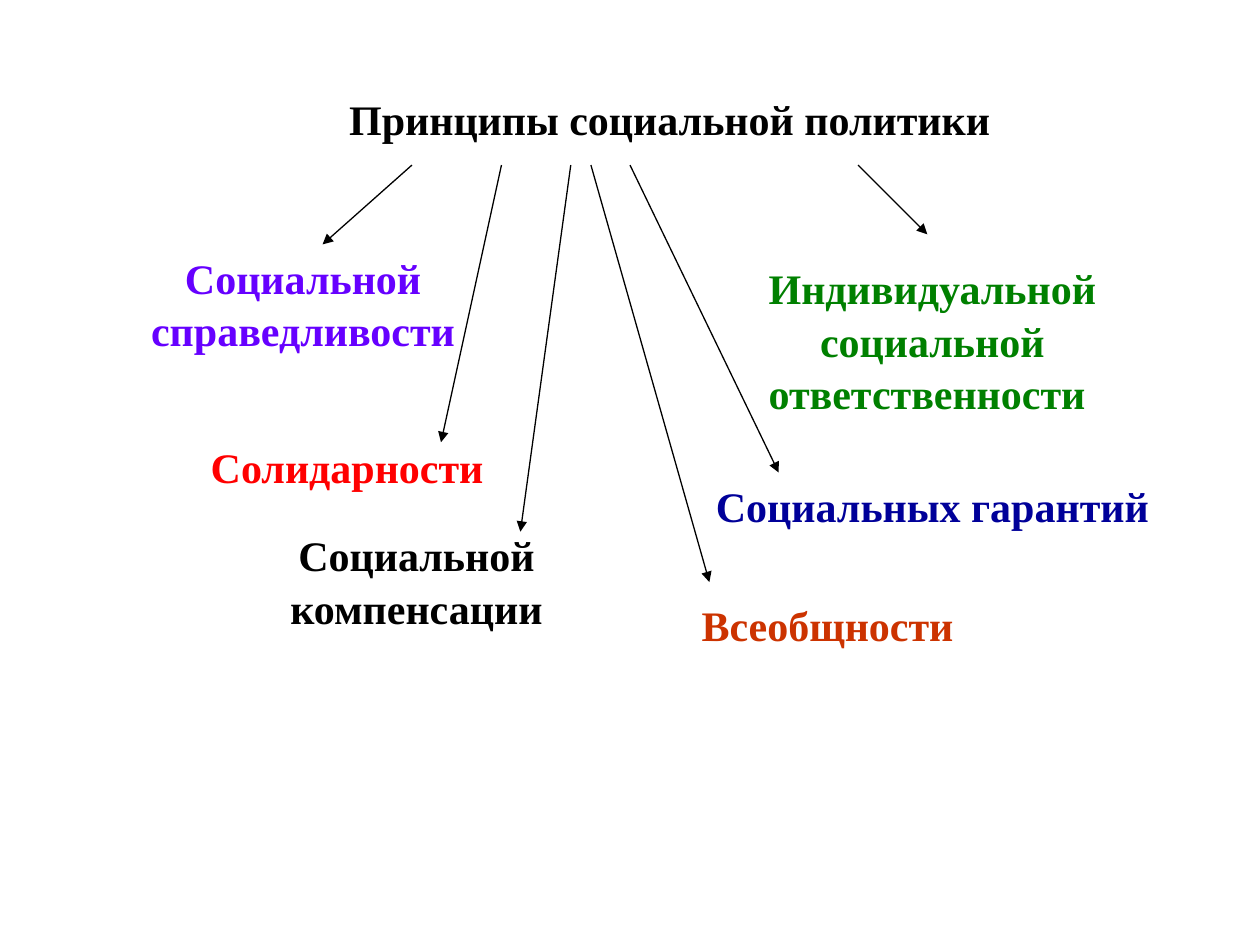
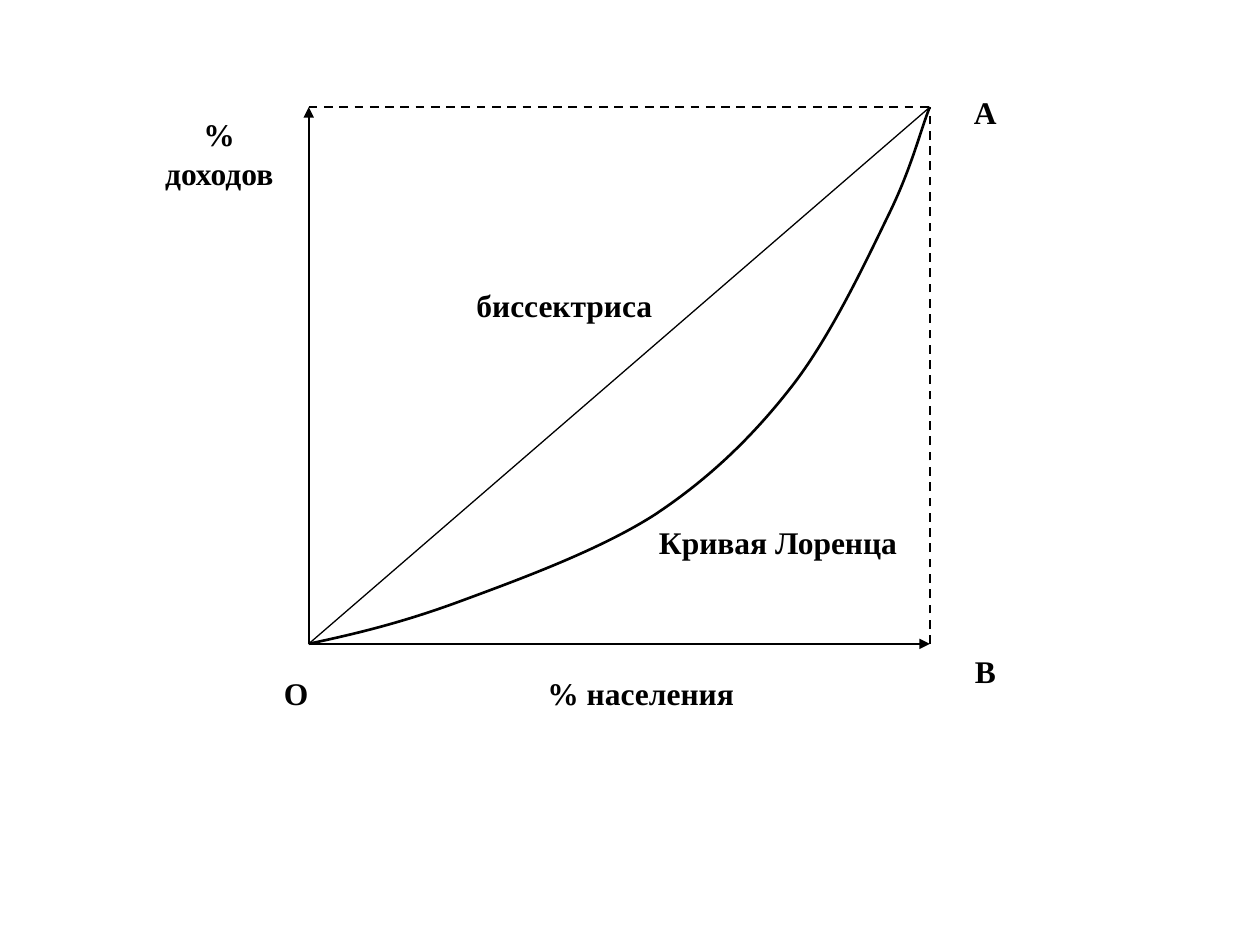
from pptx import Presentation
from pptx.dml.color import RGBColor
from pptx.enum.dml import MSO_LINE_DASH_STYLE as Dash
from pptx.enum.shapes import MSO_CONNECTOR as Connector
from pptx.enum.text import MSO_ANCHOR as Anchor, MSO_AUTO_SIZE as AutoSize, PP_ALIGN as Align
from pptx.oxml.ns import qn
from pptx.util import Pt
from lxml.etree import SubElement

PX = 9144  # 100 px to the inch
FONT = "Times New Roman"
LINE_SPACING = 1.04
TITLE_ONLY, BLANK = 5, 6
COLORS = {
    "black": "000000", "violet": "6600FF", "red": "FF0000",
    "green": "008000", "navy": "000099", "rust": "CC3300",
}

ARROWS_TOP = 131
# text, colour, label box, arrow start x, arrow tip
PRINCIPLES = [
    ("Социальной справедливости", "violet", (83, 194, 315, 90), 327, (256, 194)),
    ("Солидарности", "red", (114, 344, 323, 50), 398, (350, 351)),
    ("Индивидуальной социальной ответственности ", "green",
     (555, 202, 370, 130), 681, (736, 186)),
    ("Социальной компенсации", "black", (185, 414, 291, 90), 453, (413, 422)),
    ("Социальных гарантий ", "navy", (555, 375, 370, 50), 500, (618, 375)),
    ("Всеобщности ", "rust", (476, 469, 370, 50), 469, (563, 462)),
]

LEFT, TOP, RIGHT, BOTTOM = 245, 85, 738, 511
ORIGIN, INCOME_END = (LEFT, BOTTOM), (LEFT, TOP)
POPULATION_END, CORNER = (RIGHT, BOTTOM), (RIGHT, TOP)
# Bezier triples: two control points and an end point
LORENZ_CURVE = [
    (283, 503), (320, 494), (366, 477),
    (412, 460), (475, 437), (519, 409),
    (563, 380), (598, 346), (629, 306),
    (660, 266), (688, 206), (706, 169),
    (724, 132), (731, 102), CORNER,
]
CHART_LABELS = [
    ("% населения", (366, 529, 285, 51)),
    ("% доходов", (114, 85, 120, 85)),
    ("О", (202, 529, 66, 51)),
    ("А", (749, 68, 66, 51)),
    ("В", (749, 511, 66, 51)),
    ("Кривая Лоренца", (508, 409, 219, 51)),
    ("биссектриса", (355, 221, 186, 51)),
]


def px(*lengths):
    return [length * PX for length in lengths]


def rgb(color):
    return RGBColor.from_string(COLORS[color])


def write_text(shape, text, size, color="black"):
    frame = shape.text_frame
    frame.word_wrap = True
    frame.auto_size = AutoSize.NONE
    frame.vertical_anchor = Anchor.TOP
    frame.text = text
    paragraph = frame.paragraphs[0]
    paragraph.alignment = Align.CENTER
    paragraph.line_spacing = LINE_SPACING
    font = paragraph.runs[0].font
    font.name, font.size, font.bold = FONT, Pt(size), True
    font.color.rgb = rgb(color)


def add_label(shapes, text, box, size, color="black"):
    write_text(shapes.add_textbox(*px(*box)), text, size, color)


def add_title(slide, text, box, size):
    title = slide.shapes.title
    title.left, title.top, title.width, title.height = px(*box)
    write_text(title, text, size)


def add_line(shapes, start, end, width=0.75, arrow=False, dashed=False):
    connector = shapes.add_connector(Connector.STRAIGHT, *px(*start, *end))
    line = connector.line
    line.color.rgb = rgb("black")
    line.width = Pt(width)
    if dashed:
        line.dash_style = Dash.DASH
    properties = connector._element.spPr
    if arrow:
        SubElement(properties.find(qn("a:ln")), qn("a:tailEnd"), type="triangle")
    SubElement(properties, qn("a:effectLst"))


def add_curve(shapes, start, points, width):
    """Draw an open outline whose points are Bezier triples."""
    builder = shapes.build_freeform(*start, scale=PX)
    builder.add_line_segments(points, close=False)
    curve = builder.convert_to_shape()
    curve.shadow.inherit = False
    curve.fill.background()
    curve.line.color.rgb = rgb("black")
    curve.line.width = Pt(width)
    outline = next(curve._element.iter(qn("a:path")))
    segments = outline.findall(qn("a:lnTo"))
    for first in range(0, len(segments), 3):
        bezier = SubElement(outline, qn("a:cubicBezTo"))
        for segment in segments[first:first + 3]:
            bezier.append(segment[0])
            outline.remove(segment)


def build_principles(presentation):
    slide = presentation.slides.add_slide(presentation.slide_layouts[TITLE_ONLY])
    add_title(slide, "Принципы социальной политики", (106, 68, 851, 50), 24)
    for text, color, box, start_x, tip in PRINCIPLES:
        add_line(slide.shapes, (start_x, ARROWS_TOP), tip, arrow=True)
        add_label(slide.shapes, text, box, 24, color)


def build_lorenz(presentation):
    slide = presentation.slides.add_slide(presentation.slide_layouts[BLANK])
    shapes = slide.shapes.add_group_shape().shapes
    for axis_end in (INCOME_END, POPULATION_END):
        add_line(shapes, ORIGIN, axis_end, 1.25, arrow=True)
    for frame_start in (INCOME_END, POPULATION_END):
        add_line(shapes, frame_start, CORNER, 1.25, dashed=True)
    add_line(shapes, ORIGIN, CORNER)
    add_curve(shapes, ORIGIN, LORENZ_CURVE, 1.5)
    for text, box in CHART_LABELS:
        add_label(shapes, text, box, 18)


def main():
    presentation = Presentation()
    presentation.slide_width, presentation.slide_height = px(1000, 750)
    build_principles(presentation)
    build_lorenz(presentation)
    presentation.save("out.pptx")


if __name__ == "__main__":
    main()
